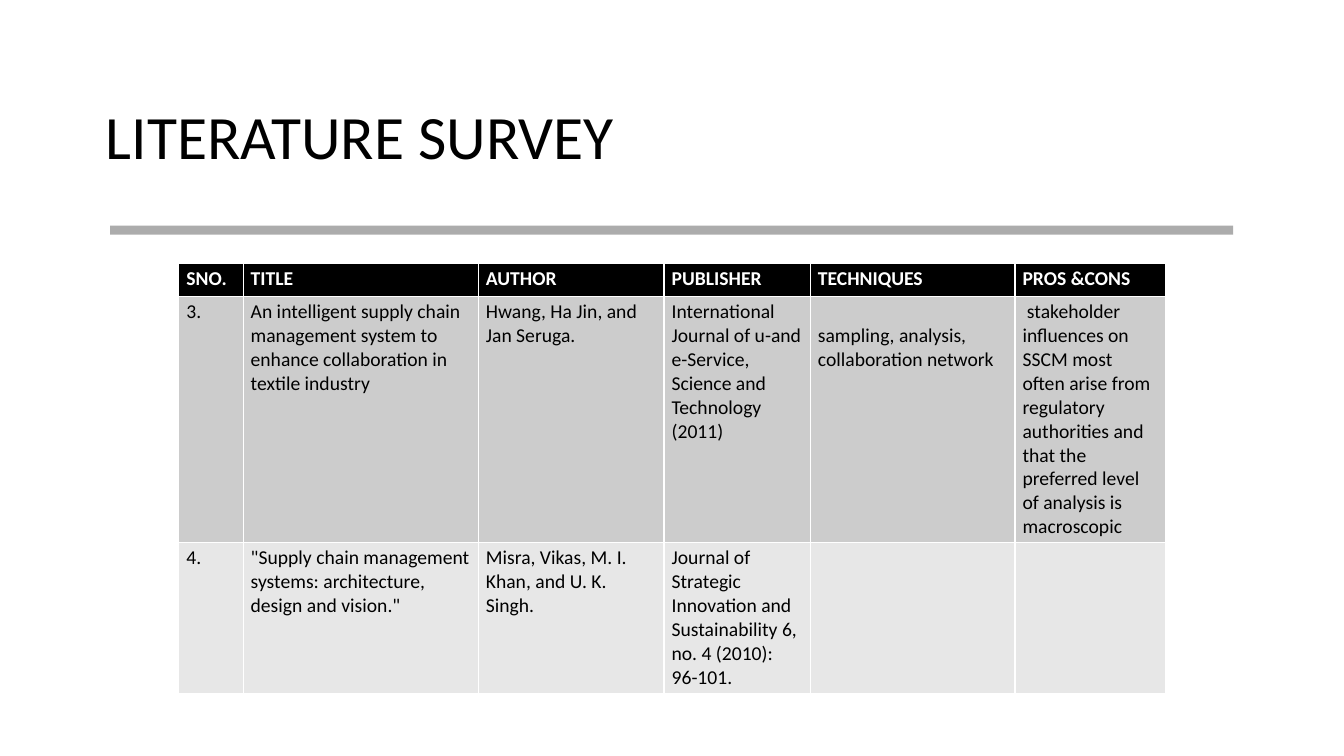
import pptx
import pptx.dml.color
import pptx.enum.shapes
import pptx.enum.text
import pptx.oxml.ns
import pptx.util
from lxml import etree

Pt = pptx.util.Pt


def color(hex_value):
    return pptx.dml.color.RGBColor.from_string(hex_value)


def style_text(paragraph, size, hex_value, bold=False):
    for run in paragraph.runs:
        run.font.name = "Calibri"
        run.font.size = Pt(size)
        run.font.bold = bold
        run.font.color.rgb = color(hex_value)


presentation = pptx.Presentation()
presentation.slide_width = Pt(960)
presentation.slide_height = Pt(540)
slide = presentation.slides.add_slide(presentation.slide_layouts[5])

# Title
title = slide.shapes.title
title.left, title.top, title.width, title.height = Pt(68.4), Pt(47.5), Pt(823), Pt(104.4)
title.text_frame.text = "LITERATURE SURVEY"
title.text_frame.vertical_anchor = pptx.enum.text.MSO_ANCHOR.MIDDLE
title_paragraph = title.text_frame.paragraphs[0]
title_paragraph.alignment = pptx.enum.text.PP_ALIGN.LEFT
title_paragraph.line_spacing = 0.9
style_text(title_paragraph, 44, "000000")

# Translucent divider
divider = slide.shapes.add_shape(
    pptx.enum.shapes.MSO_SHAPE.RECTANGLE, Pt(78.7), Pt(161.2), Pt(802.2), Pt(6.5))
divider.shadow.inherit = False
divider.line.fill.background()
divider.fill.solid()
divider.fill.fore_color.rgb = color("808080")
divider_color = divider.fill._xPr.find(".//" + pptx.oxml.ns.qn("a:srgbClr"))
etree.SubElement(divider_color, pptx.oxml.ns.qn("a:alpha"), val="65000")

# Survey table
survey_rows = [
    ["SNO.", "TITLE", "AUTHOR", "PUBLISHER", "TECHNIQUES", "PROS &CONS"],
    ["3.",
     "An intelligent supply chain management system to enhance collaboration in textile industry",
     "Hwang, Ha Jin, and Jan Seruga.",
     "International Journal of u-and e-Service, Science and Technology (2011)",
     "sampling, analysis, collaboration network",
     " stakeholder influences on SSCM most often arise from regulatory authorities "
     "and that the preferred level of analysis is macroscopic"],
    ["4.",
     "\"Supply chain management systems: architecture, design and vision.\"",
     "Misra, Vikas, M. I. Khan, and U. K. Singh.",
     "Journal of Strategic Innovation and Sustainability 6, no. 4 (2010): 96-101.",
     "",
     ""],
]
column_widths = [46, 168, 132.7, 104.5, 146.2, 107.3]
row_heights = [23.6, 175.6, 107]
row_fills = ["000000", "CCCCCC", "E7E7E7"]

table = slide.shapes.add_table(
    len(row_heights), len(column_widths), Pt(127.7), Pt(188.2),
    Pt(sum(column_widths)), Pt(sum(row_heights))).table
for column, width in zip(table.columns, column_widths):
    column.width = Pt(width)

for row_index, (row, height, texts) in enumerate(zip(table.rows, row_heights, survey_rows)):
    row.height = Pt(height)
    is_header = row_index == 0
    for cell, text in zip(row.cells, texts):
        cell.fill.solid()
        cell.fill.fore_color.rgb = color(row_fills[row_index])
        cell.margin_left = cell.margin_right = Pt(5.4)
        cell.margin_top = cell.margin_bottom = Pt(2.7)
        if text:
            cell.text_frame.text = text
            style_text(cell.text_frame.paragraphs[0], 14,
                       "FFFFFF" if is_header else "000000", is_header)

# The techniques entry starts one line lower than its neighbours
table.cell(1, 4).margin_top = Pt(19.8)

presentation.save("out.pptx")
